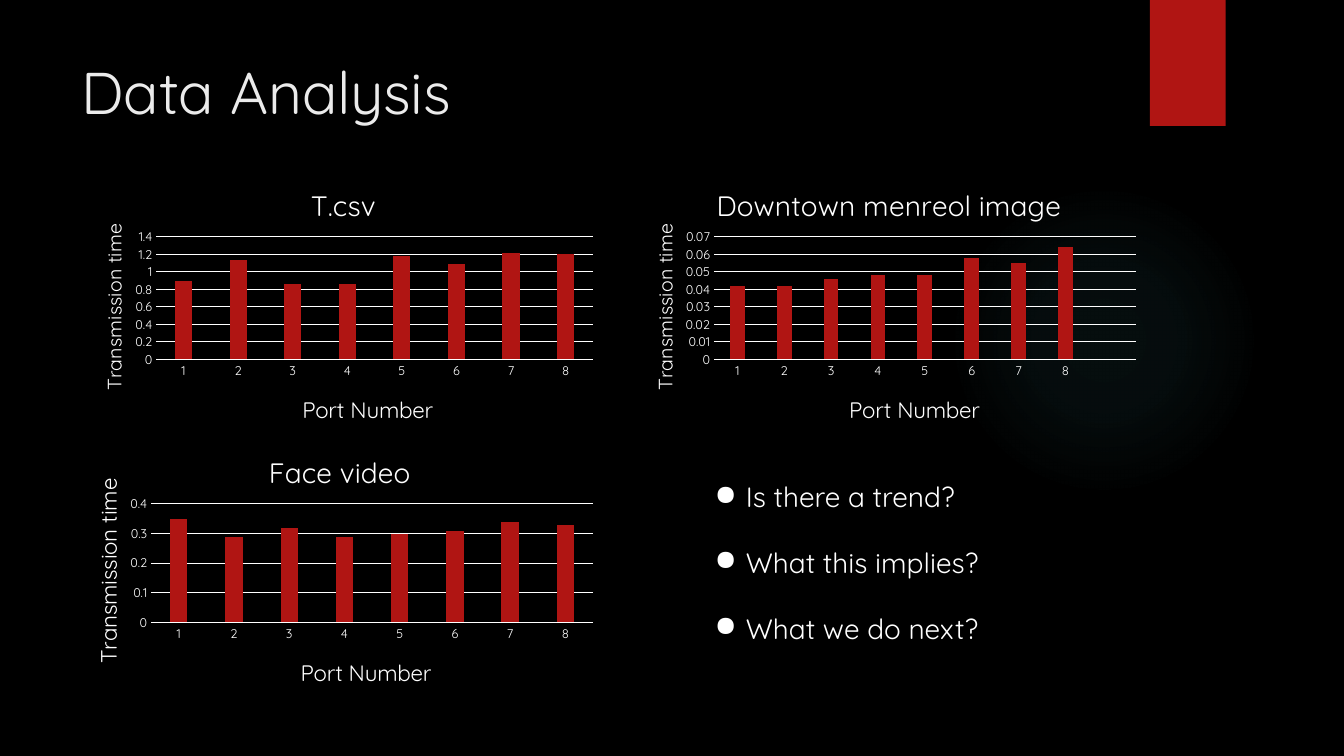
from lxml.etree import SubElement
from pptx import Presentation
from pptx.chart.data import CategoryChartData
from pptx.dml.color import RGBColor
from pptx.enum.chart import XL_CHART_TYPE, XL_TICK_MARK
from pptx.enum.shapes import MSO_SHAPE
from pptx.oxml import parse_xml
from pptx.oxml.ns import nsdecls, qn
from pptx.util import Inches, Pt

COLUMNS, ROWS = 160, 90
CELL = Inches(1) // 12
FONT = "Quicksand"
WHITE, RED = "FFFFFF", "B01513"


def style(font, size, color=WHITE):
    """Apply the slide's typeface with a size in points and a hex colour."""
    for name, value in {"name": FONT, "size": Pt(size), "bold": False}.items():
        setattr(font, name, value)
    font.color.rgb = RGBColor.from_string(color)


def place(element, index, frame, **cells):
    """Fix a chart part at grid positions x, y, w, h inside the chart frame."""
    for old_layout in element.findall(qn("c:layout")):
        element.remove(old_layout)
    layout = parse_xml(f"<c:layout {nsdecls('c')}><c:manualLayout/></c:layout>")
    manual = layout[0]
    if "w" in cells:
        SubElement(manual, qn("c:layoutTarget")).set("val", "inner")
    for side in "xy":
        SubElement(manual, qn(f"c:{side}Mode")).set("val", "edge")
    left, top, width, height = frame
    offsets = {"x": left, "y": top, "w": 0, "h": 0}
    extents = {"x": width, "y": height, "w": width, "h": height}
    for side, cell in cells.items():
        share = (cell - offsets[side]) / extents[side]
        SubElement(manual, qn(f"c:{side}")).set("val", f"{share:.4f}")
    element.insert(index, layout)


presentation = Presentation()
presentation.slide_width = COLUMNS * CELL
presentation.slide_height = ROWS * CELL
slide = presentation.slides.add_slide(presentation.slide_layouts[6])
slide.background.fill.solid()
slide.background.fill.fore_color.rgb = RGBColor.from_string("000000")

# Glow and red tab
decorations = {}
for name, geometry, cells in (
    ("glow", MSO_SHAPE.OVAL, (112.9, 22, 37, 37)),
    ("tab", MSO_SHAPE.RECTANGLE, (136.9, 0, 9, 15)),
):
    shape = slide.shapes.add_shape(geometry, *(int(cell * CELL) for cell in cells))
    shape.shadow.inherit = False
    shape.line.fill.background()
    decorations[name] = shape
decorations["tab"].fill.solid()
decorations["tab"].fill.fore_color.rgb = RGBColor.from_string(RED)
stops = "".join(
    f'<a:gs pos="{position}000"><a:srgbClr val="50B9C1">'
    f'<a:alpha val="{alpha}000"/></a:srgbClr></a:gs>'
    for position, alpha in ((0, 7), (36, 6), (69, 0))
)
decorations["glow"].element.spPr.insert(2, parse_xml(
    f'<a:gradFill {nsdecls("a")}><a:gsLst>{stops}</a:gsLst><a:path path="circle">'
    '<a:fillToRect l="50000" t="50000" r="50000" b="50000"/></a:path></a:gradFill>'
))

# Heading and questions
for cells, size, color, bullet, lines in (
    ((8.5, 6, 123.5, 18.4), 42, "EBEBEB", None, ["Data Analysis"]),
    ((83.9, 56.5, 49.8, 21.4), 20, WHITE, "●",
     ["Is there a trend?", "What this implies?", "What we do next?"]),
):
    box = slide.shapes.add_textbox(*(int(cell * CELL) for cell in cells))
    text_frame = box.text_frame
    text_frame.word_wrap = True
    text_frame.text = "\n".join(lines)
    for number, paragraph in enumerate(text_frame.paragraphs):
        if bullet:
            properties = paragraph._p.get_or_add_pPr()
            indent = Inches(0.31)
            properties.set("marL", str(indent))
            properties.set("indent", str(-indent))
            SubElement(properties, qn("a:buChar")).set("char", bullet)
        if number:
            paragraph.space_before = Pt(23)
        style(paragraph.runs[0].font, size, color)

# Charts: frame, plot area, title columns, value title place, value title size, scale
charts = (
    ("T.csv", (8.5, 19, 63.4, 33.4), (18.6, 28.2, 52, 14.6),
     36.4, 35.5, (11.4, 26.2), 14, (1.4, 0.2),
     [0.9, 1.14, 0.86, 0.86, 1.18, 1.09, 1.22, 1.2]),
    ("Downtown menreol image", (74, 19, 62.3, 33.4), (85, 28.2, 50.2, 14.6),
     84.7, 100.6, (77, 26.2), 14, (0.07, 0.01),
     [0.042, 0.042, 0.046, 0.048, 0.048, 0.058, 0.055, 0.064, None]),
    ("Face video", (7.8, 50.9, 64.1, 32.6), (18, 60, 52.6, 14.1),
     31.4, 35.3, (10.5, 56.5), 16, (0.4, 0.1),
     [0.35, 0.29, 0.32, 0.29, 0.3, 0.31, 0.34, 0.33]),
)
for (name, frame, plot_area, title_left, port_left, time_place, time_size,
     (maximum, step), values) in charts:
    data = CategoryChartData()
    data.categories = [
        "" if value is None else str(port) for port, value in enumerate(values, 1)
    ]
    data.add_series("Series 1", values)
    chart = slide.shapes.add_chart(
        XL_CHART_TYPE.COLUMN_CLUSTERED, *(int(cell * CELL) for cell in frame), data
    ).chart
    style(chart.font, 10)
    chart.has_legend = False
    plot = chart.plots[0]
    for setting, value in {"gap_width": 219, "overlap": -27,
                           "vary_by_categories": False}.items():
        setattr(plot, setting, value)
    fill = plot.series[0].format.fill
    fill.solid()
    fill.fore_color.rgb = RGBColor.from_string(RED)

    ports, times = chart.category_axis, chart.value_axis
    for axis in (ports, times):
        axis.major_tick_mark = axis.minor_tick_mark = XL_TICK_MARK.NONE
        style(axis.tick_labels.font, 9)
    times.minimum_scale, times.maximum_scale, times.major_unit = 0, maximum, step
    times.format.line.fill.background()
    for line in (ports.format.line, times.major_gridlines.format.line):
        line.color.rgb = RGBColor.from_string(WHITE)
        line.width = Pt(0.75)

    plot_left, plot_top, plot_width, plot_height = plot_area
    place(chart.element.chart.plotArea, 0, frame,
          x=plot_left, y=plot_top, w=plot_width, h=plot_height)
    for title, text, size, (left, top) in (
        (chart.chart_title, name, 20, (title_left, plot_top - 6.8)),
        (ports.axis_title, "Port Number", 16,
         (port_left, plot_top + plot_height + 3.6)),
        (times.axis_title, "Transmission time", time_size, time_place),
    ):
        title.text_frame.text = text
        style(title.text_frame.paragraphs[0].runs[0].font, size)
        place(title._element, 1, frame, x=left, y=top)
    body = times.axis_title._element.find(".//" + qn("a:bodyPr"))
    body.set("rot", "-5400000")
    body.set("vert", "horz")

presentation.save("out.pptx")
